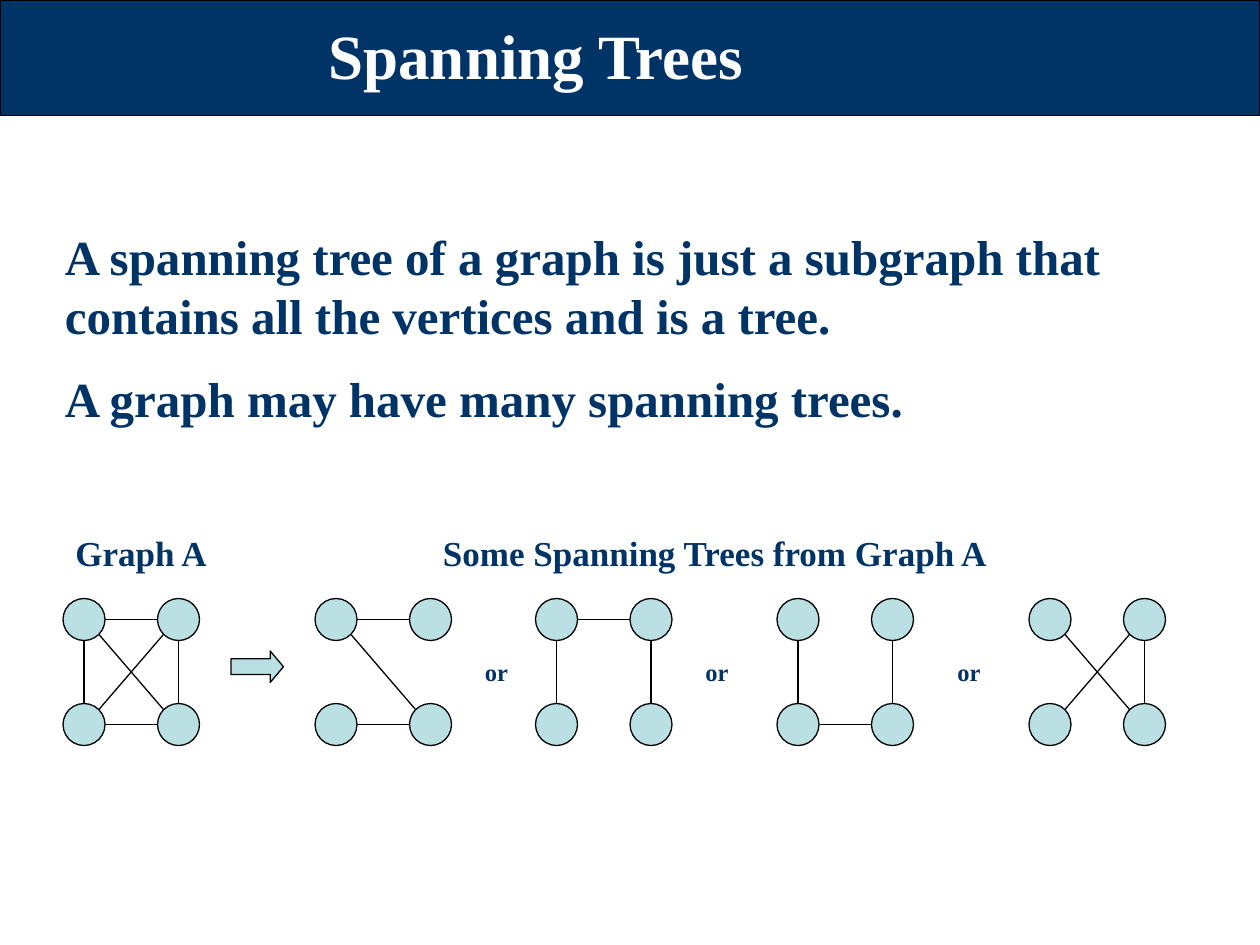
from math import sqrt

from lxml import etree
from pptx import Presentation
from pptx.dml.color import RGBColor
from pptx.enum import shapes, text
from pptx.oxml import ns
from pptx.util import Pt

COLORS = {"navy": "003366", "node": "BBE0E3", "black": "000000", "white": "FFFFFF"}
FONT = "Times New Roman"
NODE, STEP_X, STEP_Y, TOP = 24, 54, 60, 342
GRAPHS = [
    (36, ["01", "02", "23", "13", "12", "03"]),
    (180, ["01", "23", "03"]),
    (306, ["01", "02", "13"]),
    (444, ["02", "23", "13"]),
    (588, ["13", "12", "03"]),
]


def color(name):
    return RGBColor.from_string(COLORS[name])


def sign(value):
    return (value > 0) - (value < 0)


class Deck:
    """Draws styled elements on the current slide."""

    def __init__(self, prs):
        self.s = prs.slides.add_slide(prs.slide_layouts[6])

    def shape(self, kind, x, y, w, h, fill="node"):
        sp = self.s.shapes.add_shape(kind, Pt(x), Pt(y), Pt(w), Pt(h))
        sp.shadow.inherit = False
        sp.fill.solid()
        sp.fill.fore_color.rgb = color(fill)
        sp.line.color.rgb = color("black")
        sp.line.width = Pt(0.75)
        return sp

    def line(self, x1, y1, x2, y2):
        cx = self.s.shapes.add_connector(
            shapes.MSO_CONNECTOR.STRAIGHT, Pt(x1), Pt(y1), Pt(x2), Pt(y2))
        cx.line.color.rgb = color("black")
        cx.line.width = Pt(0.75)
        etree.SubElement(cx._element.spPr, ns.qn("a:effectLst"))

    def text(self, x, y, w, h, lines, size, fill="navy", align=text.PP_ALIGN.LEFT):
        tf = self.s.shapes.add_textbox(Pt(x), Pt(y), Pt(w), Pt(h)).text_frame
        tf.word_wrap = True
        tf.auto_size = text.MSO_AUTO_SIZE.SHAPE_TO_FIT_TEXT
        tf.text = "\n".join(lines)
        for i, p in enumerate(tf.paragraphs):
            p.alignment = align
            if i:
                p.space_before = Pt(size / 2)
            for r in p.runs:
                r.font.name = FONT
                r.font.size = Pt(size)
                r.font.bold = True
                r.font.color.rgb = color(fill)

    def graph(self, left, edges):
        corners = [(left + STEP_X * col, TOP + STEP_Y * row)
                   for row in range(2) for col in range(2)]
        for x, y in corners:
            self.shape(shapes.MSO_SHAPE.OVAL, x, y, NODE, NODE)
        radius = NODE / 2
        for start, end in edges:
            (x1, y1), (x2, y2) = [(x + radius, y + radius) for x, y in
                                  (corners[int(start)], corners[int(end)])]
            dx, dy = sign(x2 - x1), sign(y2 - y1)
            reach = radius / sqrt(dx * dx + dy * dy)
            self.line(x1 + dx * reach, y1 + dy * reach,
                      x2 - dx * reach, y2 - dy * reach)


def main():
    prs = Presentation()
    prs.slide_width, prs.slide_height = Pt(720), Pt(540)
    deck = Deck(prs)
    deck.shape(shapes.MSO_SHAPE.RECTANGLE, 0, 0, 720, 66, "navy")
    deck.text(139, 6, 334.5, 51, ["Spanning Trees"], 36, "white", text.PP_ALIGN.CENTER)
    deck.text(30, 126, 660, 125, [
        "A spanning tree of a graph is just a subgraph that contains all the "
        "vertices and is a tree.",
        "A graph may have many spanning trees.",
    ], 28)
    deck.text(36, 300, 108.5, 31, ["Graph A"], 20)
    deck.text(246, 300, 372, 31, ["Some Spanning Trees from Graph A"], 20)
    for left, edges in GRAPHS:
        deck.graph(left, edges)
    arrow = deck.shape(shapes.MSO_SHAPE.RIGHT_ARROW, 132, 372, 30, 18)
    arrow.adjustments[1] = 0.42
    for x in (270, 396, 540):
        deck.text(x, 372, 30, 29, ["or"], 14)
    prs.save("out.pptx")


if __name__ == "__main__":
    main()
